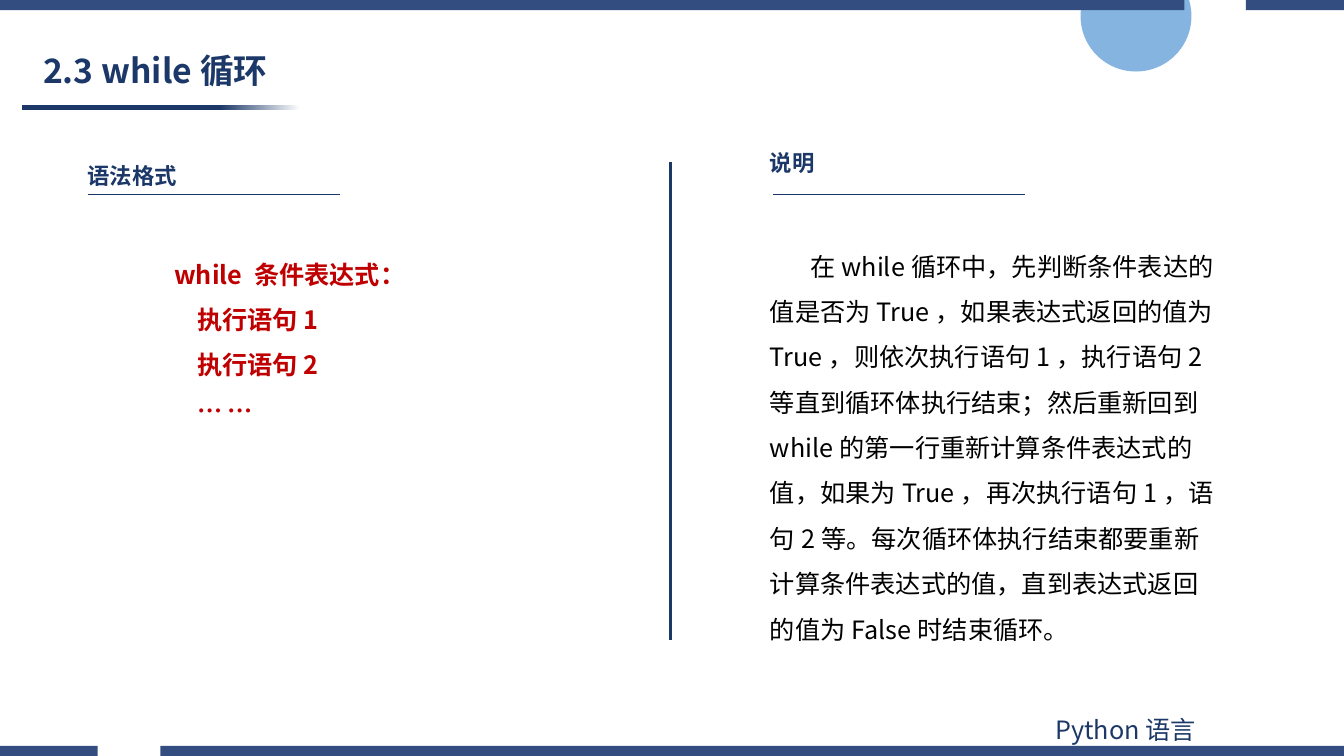
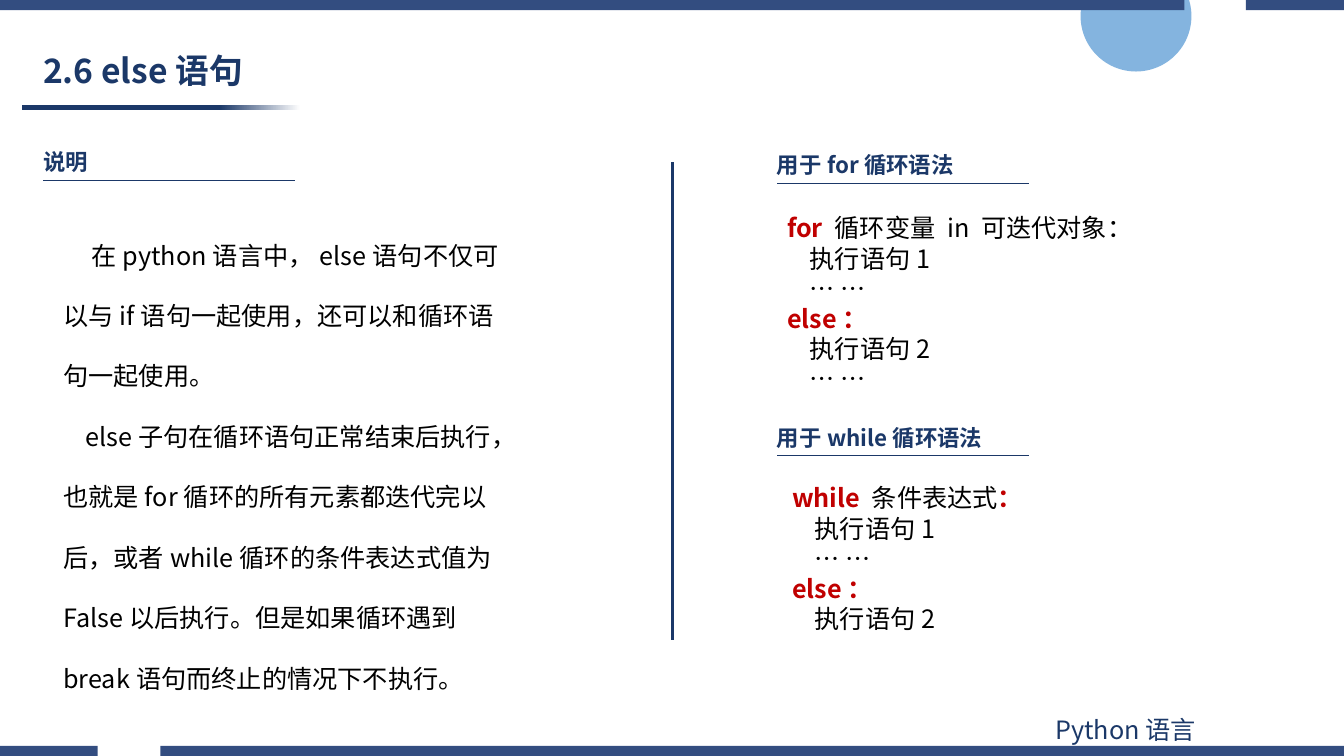
from copy import deepcopy
from lxml import etree
from pptx import Presentation
from pptx import util as u
from pptx.dml.color import RGBColor
from pptx.enum import shapes, text
from pptx.oxml.ns import qn

CELL = u.Inches(0.1)
COLS, ROWS = 133.33, 75
FACE = "Noto Sans CJK SC"
NAVY, BAND, SKY = "1B3868", "334D80", "5B9BD5"
RED, BLACK, WHITE = "C00000", "000000", "FFFFFF"
BASE = {"size": u.Pt(18), "bold": False, "name": FACE}
TITLE = {**BASE, "size": u.Pt(24), "bold": True}
HEAD = {**BASE, "size": u.Pt(16), "bold": True}
STRONG = {**BASE, "bold": True}


def hue(code):
    return RGBColor.from_string(code)


def span(*cells):
    return [round(n * CELL) for n in cells]


def style(font, look, tint):
    for key, value in look.items():
        setattr(font, key, value)
    font.color.rgb = hue(tint)


def add_run(para, words, look, tint):
    run = para.add_run()
    run.text = words
    style(run.font, look, tint)
    props = run.font._element
    east = etree.Element(qn("a:ea"), typeface=FACE)
    props.find(qn("a:latin")).addnext(east)


def write(slide, box, lines, look=BASE, tint=BLACK, pace=1, indents=(), middle=False):
    frame = slide.shapes.add_textbox(*span(*box)).text_frame
    frame.word_wrap = True
    if middle:
        frame.vertical_anchor = text.MSO_ANCHOR.MIDDLE
    for i, line in enumerate(lines):
        para = frame.paragraphs[0] if i == 0 else frame.add_paragraph()
        para.line_spacing = pace
        if indents:
            para._p.get_or_add_pPr().set("indent", str(round(indents[i] * CELL)))
        for j, part in enumerate(line.split("*")):
            if part:
                add_run(para, part, *((STRONG, RED) if j % 2 else (look, tint)))


def shape(slide, kind, box, tint):
    form = slide.shapes.add_shape(kind, *span(*box))
    form.shadow.inherit = False
    form.line.fill.background()
    form.fill.solid()
    form.fill.fore_color.rgb = hue(tint)
    return form


def rule(slide, start, end, width):
    line = slide.shapes.add_connector(
        shapes.MSO_CONNECTOR.STRAIGHT, *span(*start, *end))
    line.line.color.rgb = hue(NAVY)
    line.line.width = u.Pt(width)
    etree.SubElement(line._element.spPr, qn("a:effectLst"))


def fade(form):
    form.fill.gradient()
    form.fill.gradient_angle = 0
    first = form._element.spPr.find(".//" + qn("a:gs"))
    first.addnext(deepcopy(first))
    stops = ((0.01, NAVY), (0.71, NAVY), (1, WHITE))
    for stop, (place, tint) in zip(form.fill.gradient_stops, stops):
        stop.position = place
        stop.color.rgb = hue(tint)


def frame(deck, title, split):
    slide = deck.slides.add_slide(deck.slide_layouts[6])
    rect = shapes.MSO_SHAPE.RECTANGLE
    disc = shape(slide, shapes.MSO_SHAPE.OVAL, (107.2, -3.9, 11, 11), SKY)
    color = disc._element.spPr.find(".//" + qn("a:srgbClr"))
    etree.SubElement(color, qn("a:alpha"), val="75000")
    fade(shape(slide, rect, (2.2, 10.4, 27.6, 0.5), NAVY))
    for top, left, right in ((0, 117.5, 123.6), (ROWS - 1, 9.7, 15.9)):
        shape(slide, rect, (0, top, left, 1), BAND)
        shape(slide, rect, (right, top, COLS - right, 1), BAND)
    write(slide, (103.7, 70.4, 29.4, 4), ["Python语言"], tint=NAVY)
    write(slide, (3.3, 4.4, 35.7, 5.6), [title], TITLE, NAVY, 0.9, middle=True)
    rule(slide, (split, 16.1), (split, 63.5), 2)
    return slide


def panel(slide, left, top, head, body, lines, drop=3.7, inset=1, **opts):
    write(slide, (left, top, 34, 3.7), [head], HEAD, NAVY)
    rule(slide, (left + inset, top + drop), (left + inset + 25, top + drop), 0.5)
    dx, dy, wide, high = body
    write(slide, (left + dx, top + dy, wide, high), lines, **opts)


def while_page(deck):
    slide = frame(deck, "2.3 while循环", 66.5)
    panel(slide, 7.7, 15.6, "语法格式", (8.6, 8.1, 36.4, 19.2),
          ["*while 条件表达式：", "*    执行语句1", "*    执行语句2", "*    … …"],
          pace=1.5)
    panel(slide, 75.4, 14.3, "说明", (0, 8.6, 46.2, 41.9),
          ["在while循环中，先判断条件表达的值是否为True，如果表达式返回的值为True，"
           "则依次执行语句1，执行语句2等直到循环体执行结束；然后重新回到while的第一行"
           "重新计算条件表达式的值，如果为True，再次执行语句1，语句2等。每次循环体执行"
           "结束都要重新计算条件表达式的值，直到表达式返回的值为False时结束循环。"],
          drop=5, inset=1.3, pace=1.5, indents=(4,))


def else_page(deck):
    slide = frame(deck, "2.6 else语句", 66.7)
    panel(slide, 3.3, 14.2, "说明", (2, 6.1, 45.6, 49.5),
          ["在python语言中，else语句不仅可以与if语句一起使用，还可以和循环语句一起使用。",
           "else子句在循环语句正常结束后执行，也就是for循环的所有元素都迭代完以后，"
           "或者while循环的条件表达式值为False以后执行。但是如果循环遇到break语句"
           "而终止的情况下不执行。"],
          pace=2, indents=(2.8, 2.2))
    tail = ["    执行语句1", "    … …", "*else：", "    执行语句2"]
    panel(slide, 76.1, 14.5, "用于for循环语法", (1, 6.1, 55.1, 19.2),
          ["*for *循环变量 in 可迭代对象：", *tail, "    … …"])
    panel(slide, 76.1, 41.6, "用于while循环语法", (1.5, 5.8, 24.4, 16.2),
          ["*while *条件表达式*：", *tail], drop=3.6)


def main():
    deck = Presentation()
    deck.slide_width, deck.slide_height = span(COLS, ROWS)
    while_page(deck)
    else_page(deck)
    deck.save("out.pptx")


if __name__ == "__main__":
    main()
